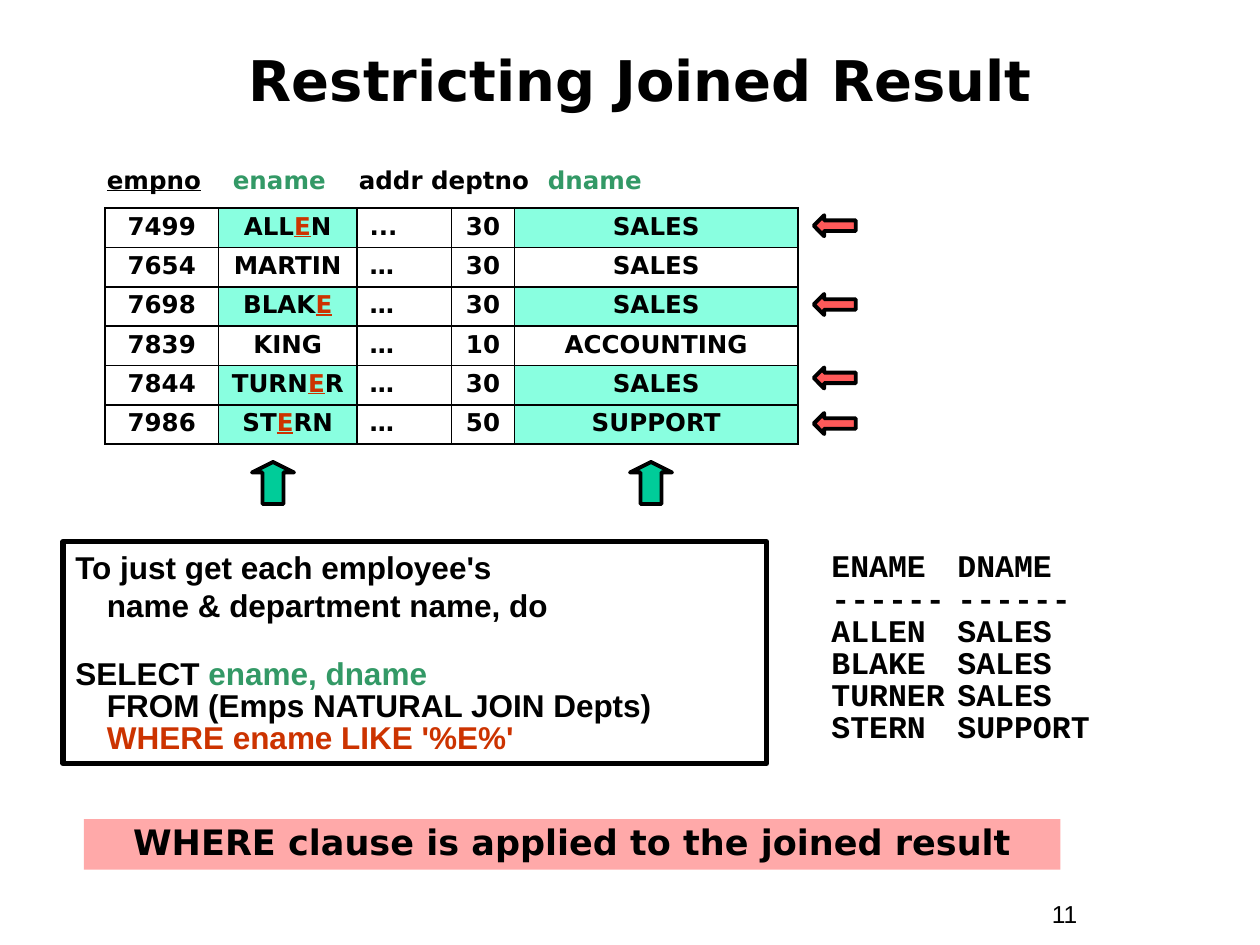
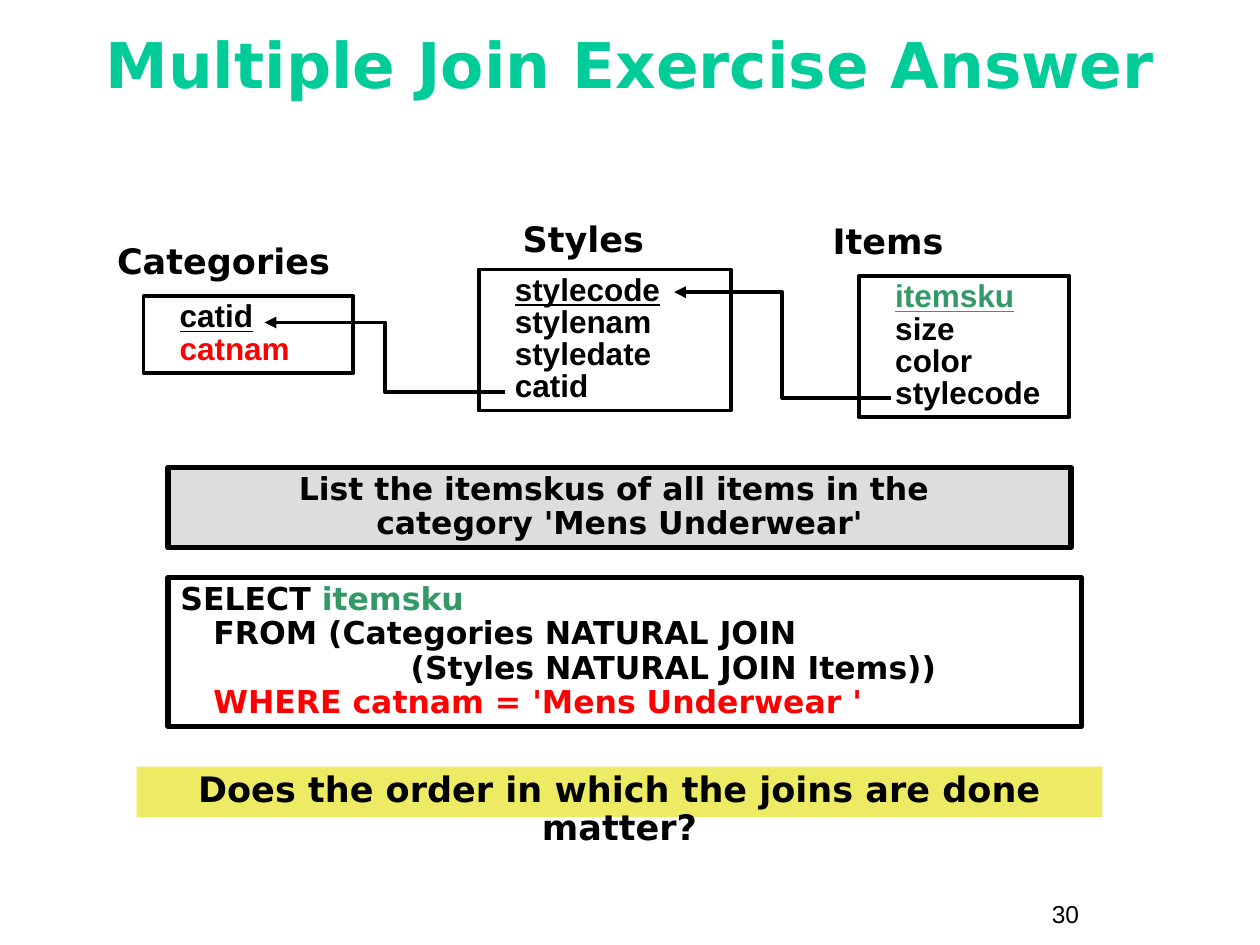
"""Build two slides on restricting joined results and on multiple joins."""
from lxml import etree
from pptx import Presentation
from pptx.dml.color import RGBColor
from pptx.enum.shapes import MSO_CONNECTOR, MSO_SHAPE
from pptx.enum.text import MSO_ANCHOR, PP_ALIGN
from pptx.oxml.ns import qn
from pptx.util import Pt

RECT, UP, LEFT_ARROW = MSO_SHAPE.RECTANGLE, MSO_SHAPE.UP_ARROW, MSO_SHAPE.LEFT_ARROW
ELBOW = MSO_CONNECTOR.ELBOW
LEFT, CENTER = PP_ALIGN.LEFT, PP_ALIGN.CENTER
TOP, MIDDLE = MSO_ANCHOR.TOP, MSO_ANCHOR.MIDDLE

BLACK = RGBColor(0x00, 0x00, 0x00)
GREEN = RGBColor(0x33, 0x99, 0x66)
TEAL = RGBColor(0x00, 0xCC, 0x99)
MINT = RGBColor(0x89, 0xFF, 0xE0)
RUST = RGBColor(0xCC, 0x33, 0x00)
RED = RGBColor(0xFF, 0x00, 0x00)
CORAL = RGBColor(0xFF, 0x59, 0x59)
PINK = RGBColor(0xFF, 0xA9, 0xA9)
YELLOW = RGBColor(0xED, 0xEA, 0x63)
GRAY = RGBColor(0xDD, 0xDD, 0xDD)

SANS, ARIAL, MONO = "DejaVu Sans", "Arial", "Courier New"

HEADINGS = [[("empno", BLACK, True), "\t", ("ename", GREEN), "\taddr deptno\t", ("dname", GREEN)]]
HEADING_TABS = (63.4, 150.8, 287.4)
EMPLOYEES = [
    ("7499", "ALLEN", "...", "30", "SALES"),
    ("7654", "MARTIN", "…", "30", "SALES"),
    ("7698", "BLAKE", "…", "30", "SALES"),
    ("7839", "KING", "…", "10", "ACCOUNTING"),
    ("7844", "TURNER", "…", "30", "SALES"),
    ("7986", "STERN", "…", "50", "SUPPORT"),
]
COLUMN_WIDTHS = (64.8, 79.2, 54, 36, 162)
ROW_HEIGHT = 22.5
ENAME, ADDR, DNAME = 1, 2, 4
MATCH = "E"
COLUMN_ARROWS = (144, 360)
ROW_ARROWS = (123, 168, 210, 236)
WHERE_QUERY = [
    ["To just get each employee's\nname & department name, do"],
    ["SELECT ", ("ename, dname\n", GREEN), "FROM (Emps NATURAL JOIN Depts)\n",
     ("WHERE ename LIKE '%E%'", RUST)],
]
RESULT = [("ENAME", "DNAME"), ("------", "------")] + [
    (row[ENAME], row[DNAME]) for row in EMPLOYEES if MATCH in row[ENAME]]

ENTITIES = [
    ("Items", (468.7, 121.7), (491, 157.7, 120, 80.6),
     [("itemsku", GREEN, True), "size", "color", "stylecode"]),
    ("Styles", (291.6, 121), (273.6, 154, 144, 80.6),
     [("stylecode", BLACK, True), "stylenam", "styledate", "catid"]),
    ("Categories", (59.8, 133.2), (82, 169.2, 120, 44),
     [("catid", BLACK, True), ("catnam", RED)]),
]
FOREIGN_KEYS = [(509, 227.5, 385.2, 167), (288.7, 224, 151.2, 184.3)]
TASK = [["List the itemskus of all items in the \ncategory 'Mens Underwear'"]]
JOIN_QUERY = [[
    "SELECT ", ("itemsku \n", GREEN),
    "   FROM (Categories NATURAL JOIN \n                     (Styles NATURAL JOIN Items)) \n   ",
    ("WHERE catnam = 'Mens Underwear '", RED),
]]


def write(tf, paras, size=18, font=SANS, color=BLACK, bold=True, align=LEFT,
          anchor=TOP, spacing=(), before=0, margin=0, indent=0, tabs=()):
    """Fill a text frame; a run is a string or (text, colour, underline)."""
    tf.word_wrap = True
    tf.vertical_anchor = anchor
    for i, runs in enumerate(paras):
        p = tf.add_paragraph() if i else tf.paragraphs[0]
        pPr = p._p.get_or_add_pPr()
        pPr.set("marL", str(Pt(margin)))
        pPr.set("indent", str(Pt(indent)))
        if tabs:
            tab_list = etree.SubElement(pPr, qn("a:tabLst"))
            for pos in tabs:
                etree.SubElement(tab_list, qn("a:tab"), pos=str(Pt(pos)), algn="l")
        p.alignment = align
        if spacing:
            p.line_spacing = spacing[min(i, len(spacing) - 1)]
        if i:
            p.space_before = Pt(before)
        for run in runs:
            text, tint, underline = (
                (run, color, False) if isinstance(run, str) else (*run, False)[:3])
            for n, piece in enumerate(text.split("\n")):
                if n:
                    p.add_line_break()
                if piece:
                    r = p.add_run()
                    r.text = piece
                    r.font.name, r.font.size, r.font.bold = font, Pt(size), bold
                    r.font.color.rgb = tint
                    r.font.underline = underline


def add_text(s, rect, paras, **fmt):
    write(s.shapes.add_textbox(*map(Pt, rect)).text_frame, paras, **fmt)


def add_box(s, rect, paras=(), preset=RECT, fill=None, line=0, **fmt):
    sp = s.shapes.add_shape(preset, *map(Pt, rect))
    sp.shadow.inherit = False
    if fill is None:
        sp.fill.background()
    else:
        sp.fill.solid()
        sp.fill.fore_color.rgb = fill
    if line:
        sp.line.color.rgb = BLACK
        sp.line.width = Pt(line)
    else:
        sp.line.fill.background()
    write(sp.text_frame, paras, **fmt)


def add_band(s, rect, text, fill):
    add_box(s, rect, [[text]], fill=fill, size=20, align=CENTER, spacing=(0.9,))


def add_slide(prs, title, rect, number, **fmt):
    s = prs.slides.add_slide(prs.slide_layouts[6])
    add_text(s, (594, 510, 66, 24.5), [[number]], size=14, font=ARIAL, bold=False)
    add_text(s, rect, [[title]], align=CENTER, anchor=MIDDLE, **fmt)
    return s


def add_borders(cell):
    tcPr = cell._tc.get_or_add_tcPr()
    for i, side in enumerate(("lnL", "lnR", "lnT", "lnB")):
        ln = etree.Element(qn(f"a:{side}"), w=str(Pt(1.08)))
        solid = etree.SubElement(ln, qn("a:solidFill"))
        etree.SubElement(solid, qn("a:srgbClr"), val=str(BLACK))
        tcPr.insert(i, ln)


def add_employees(s):
    table = s.shapes.add_table(
        len(EMPLOYEES), len(COLUMN_WIDTHS), Pt(60), Pt(119),
        Pt(sum(COLUMN_WIDTHS)), Pt(ROW_HEIGHT * len(EMPLOYEES))).table
    table.first_row = table.horz_banding = False
    for column, width in zip(table.columns, COLUMN_WIDTHS):
        column.width = Pt(width)
    for i, row in enumerate(EMPLOYEES):
        table.rows[i].height = Pt(ROW_HEIGHT)
        matches = MATCH in row[ENAME]
        for j, text in enumerate(row):
            cell = table.cell(i, j)
            runs = [text]
            if matches and j == ENAME:
                head, hit, rest = text.partition(MATCH)
                runs = [head, (hit, RUST, True), rest]
            write(cell.text_frame, [runs], size=14, spacing=(0.9,),
                  align=LEFT if j == ADDR else CENTER)
            if matches and j in (ENAME, DNAME):
                cell.fill.solid()
                cell.fill.fore_color.rgb = MINT
            else:
                cell.fill.background()
            add_borders(cell)


def add_link(s, ends):
    link = s.shapes.add_connector(ELBOW, *map(Pt, ends))
    link.line.color.rgb = BLACK
    link.line.width = Pt(2.25)
    etree.SubElement(link.line._get_or_add_ln(), qn("a:tailEnd"), type="triangle")
    etree.SubElement(link._element.spPr, qn("a:effectLst"))


def build_restricting(prs):
    s = add_slide(prs, "Restricting Joined Result", (30, 24, 672, 42), "11", size=32)
    add_box(s, (36, 309.6, 402, 126.7), WHERE_QUERY, line=3, font=ARIAL,
            margin=18, indent=-18, spacing=(1.0, 0.85), before=20.5)
    add_text(s, (468, 312, 210, 117), [["\t".join(row)] for row in RESULT],
             font=MONO, spacing=(0.85,), tabs=(75.6,))
    add_text(s, (54, 90.7, 390, 24.5), HEADINGS, size=14, tabs=HEADING_TABS)
    add_employees(s)
    for x in COLUMN_ARROWS:
        add_box(s, (x, 264, 24, 24), preset=UP, fill=TEAL, line=2.25)
        s.shapes[-1].adjustments[1] = 0.25
    for y in ROW_ARROWS:
        add_box(s, (465, y, 24, 12), preset=LEFT_ARROW, fill=CORAL, line=2.25)
    add_band(s, (48, 468, 558, 29), "WHERE clause is applied to the joined result", PINK)


def build_exercise(prs):
    s = add_slide(prs, "Multiple Join Exercise Answer", (24, 6, 672, 60), "30",
                  size=36, color=TEAL)
    for name, corner, rect, fields in ENTITIES:
        add_text(s, (*corner, 155, 31.7), [[name]], size=20)
        add_box(s, rect, [[field] for field in fields], line=2.25, font=ARIAL,
                margin=13.5, spacing=(0.85,))
    for ends in FOREIGN_KEYS:
        add_link(s, ends)
    add_box(s, (96, 267, 516, 46), TASK, fill=GRAY, line=3, align=CENTER, spacing=(0.9,))
    add_box(s, (96, 330, 522, 85), JOIN_QUERY, line=3, spacing=(0.9,))
    add_band(s, (78, 438, 552, 29), "Does the order in which the joins are done matter?", YELLOW)


def main():
    prs = Presentation()
    prs.slide_width, prs.slide_height = Pt(720), Pt(540)
    build_restricting(prs)
    build_exercise(prs)
    prs.save("out.pptx")


if __name__ == "__main__":
    main()
